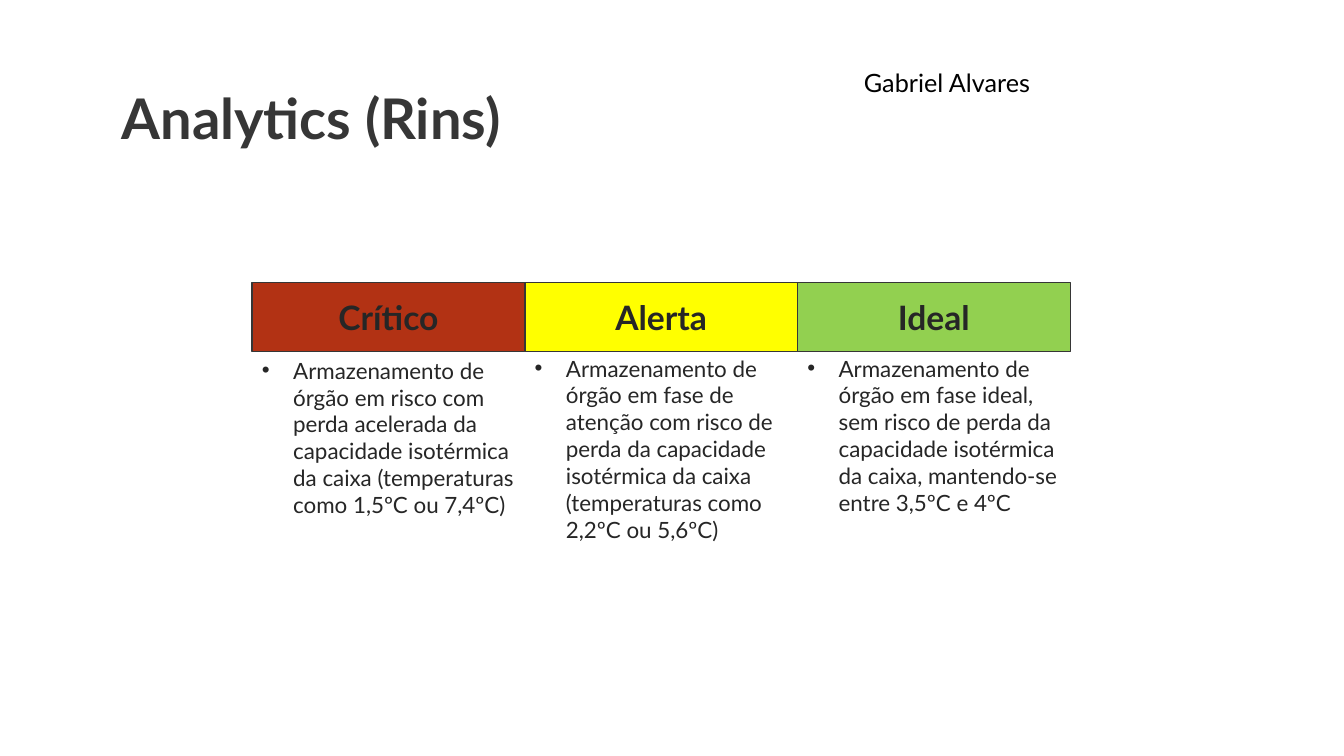
from lxml import etree
from pptx import Presentation, util as u
from pptx.dml.color import RGBColor
from pptx.enum import shapes, text
from pptx.oxml.ns import qn

FONT = "Lato"
HEADING, INK, BLACK = "363636", "262626", "000000"
LEFT, TOP, WIDTH, HEIGHT = 2.5, 2.8, 2.705, 0.69
BULLET_INDENT = 0.31

# label, header fill, top of the description, description
LEVELS = [
    ("Crítico", "B23214", 3.49,
     "Armazenamento de órgão em risco com perda acelerada da capacidade "
     "isotérmica da caixa (temperaturas como 1,5ºC ou 7,4ºC)"),
    ("Alerta", "FFFF00", 3.47,
     "Armazenamento de órgão em fase de atenção com risco de perda da capacidade "
     "isotérmica da caixa (temperaturas como 2,2ºC ou 5,6ºC)"),
    ("Ideal", "92D050", 3.47,
     "Armazenamento de órgão em fase ideal, sem risco de perda da capacidade "
     "isotérmica da caixa, mantendo-se entre 3,5ºC e 4ºC"),
]


def color(value):
    return RGBColor.from_string(value)


def add_bullet(paragraph):
    """Give the paragraph a round bullet with a hanging indent."""
    properties = paragraph._p.get_or_add_pPr()
    indent = u.Inches(BULLET_INDENT)
    properties.set("marL", str(indent))
    properties.set("indent", str(-indent))
    etree.SubElement(properties, qn("a:buFont"), typeface="Arial")
    etree.SubElement(properties, qn("a:buChar"), char="•")


def write(shape, words, size, ink=INK, bold=False, align=text.PP_ALIGN.LEFT,
          anchor=text.MSO_ANCHOR.TOP, wrap=True, spacing=None, bullet=False):
    frame = shape.text_frame
    frame.word_wrap = wrap
    frame.vertical_anchor = anchor
    paragraph = frame.paragraphs[0]
    paragraph.alignment = align
    if spacing:
        paragraph.line_spacing = spacing
    if bullet:
        add_bullet(paragraph)
    run = paragraph.add_run()
    run.text = words
    run.font.name = FONT
    run.font.size = u.Pt(size)
    run.font.bold = bold
    run.font.color.rgb = color(ink)


class SlideBuilder:
    def __init__(self, slide):
        self.slide = slide

    def text_box(self, left, top, width, height, words, size, **style):
        box = self.slide.shapes.add_textbox(
            u.Inches(left), u.Inches(top), u.Inches(width), u.Inches(height))
        write(box, words, size, **style)

    def header(self, left, top, width, height, words, fill):
        shape = self.slide.shapes.add_shape(
            shapes.MSO_SHAPE.RECTANGLE,
            u.Inches(left), u.Inches(top), u.Inches(width), u.Inches(height))
        shape.shadow.inherit = False
        shape.fill.solid()
        shape.fill.fore_color.rgb = color(fill)
        shape.line.color.rgb = color(HEADING)
        shape.line.width = u.Pt(1)
        write(shape, words, 24, bold=True, align=text.PP_ALIGN.CENTER,
              anchor=text.MSO_ANCHOR.MIDDLE)


def main():
    presentation = Presentation()
    presentation.slide_width = u.Inches(13.33)
    presentation.slide_height = u.Inches(7.5)
    builder = SlideBuilder(presentation.slides.add_slide(presentation.slide_layouts[6]))

    builder.text_box(1.11, 0.56, 11.12, 1.29, "Analytics (Rins)", 40, ink=HEADING,
                     bold=True, anchor=text.MSO_ANCHOR.MIDDLE, spacing=0.9)
    for column, (label, fill, top, description) in enumerate(LEVELS):
        left = LEFT + column * WIDTH
        builder.header(left, TOP, WIDTH, HEIGHT, label, fill)
        builder.text_box(left, top, WIDTH, 1.99, description, 16, bullet=True)
    builder.text_box(8.47, 0.62, 1.99, 0.4, "Gabriel Alvares", 18, ink=BLACK, wrap=False)

    presentation.save("out.pptx")


if __name__ == "__main__":
    main()
